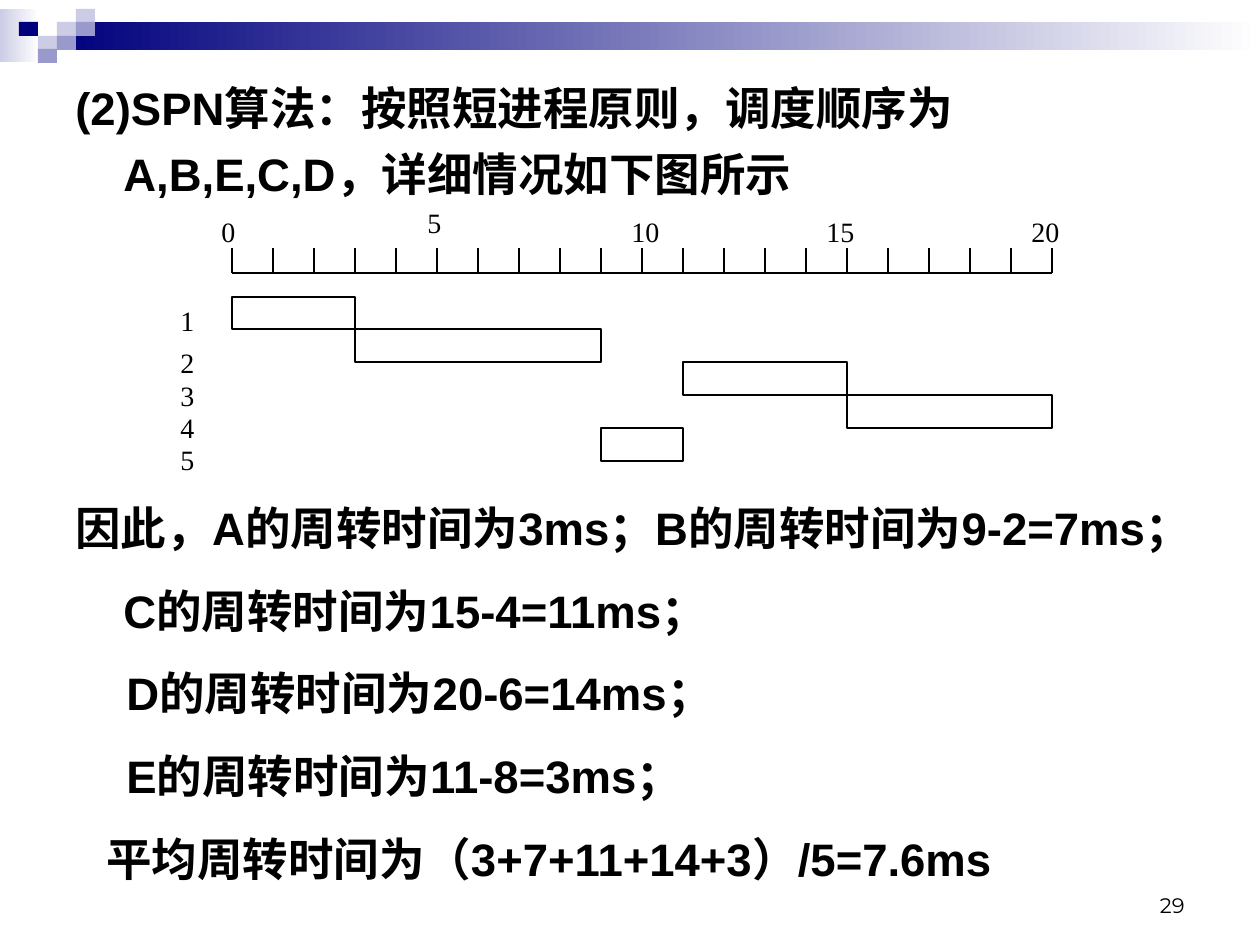
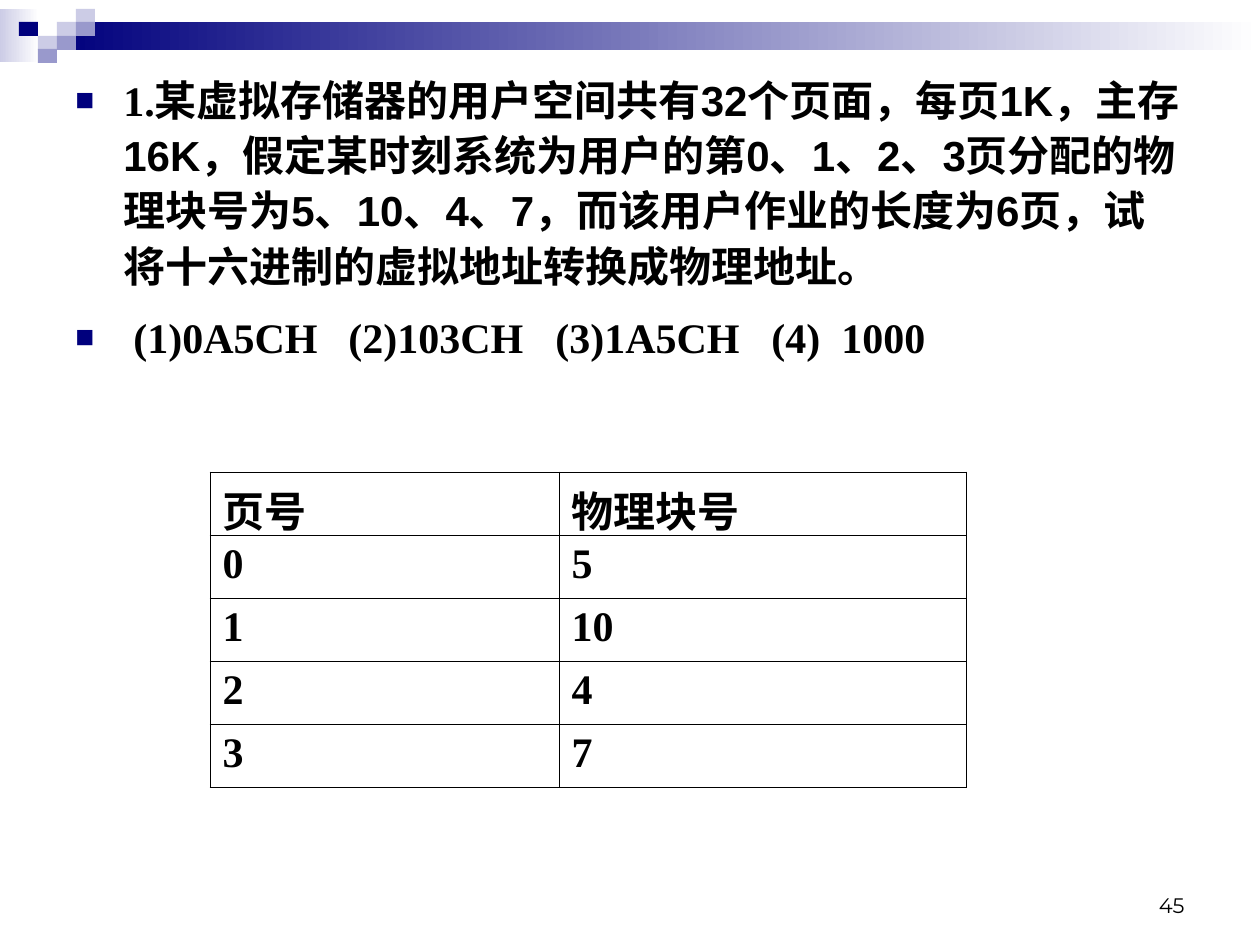
from dataclasses import dataclass
from lxml import etree
from pptx import Presentation
from pptx.dml.color import RGBColor as RGB
from pptx.enum.shapes import MSO_CONNECTOR as CONN, MSO_SHAPE as SHAPE
from pptx.enum.text import MSO_ANCHOR as ANCHOR, PP_ALIGN as ALIGN
from pptx.oxml import parse_xml
from pptx.oxml.ns import nsdecls, qn
from pptx.util import Pt


@dataclass
class Theme:
    navy: str = "00007D"
    mid: str = "9999CC"
    pale: str = "CCCCE6"
    white: str = "FFFFFF"
    ink: str = "000000"
    sans: str = "Arial"
    serif: str = "Times New Roman"
    number: str = "Montserrat"
    number_pt: int = 12
    label_pt: int = 16
    question_pt: int = 24
    answer_pt: int = 26


th = Theme()
SCALE = 914400 / 126


def px(*lengths):
    emu = [round(n * SCALE) for n in lengths]
    return emu if len(emu) > 1 else emu[0]


def add_text(slide, box, paragraphs, size, bold=False, wrap=True, line=None, gap=0):
    tf = slide.shapes.add_textbox(*px(*box)).text_frame
    tf.word_wrap = wrap
    for i, (left, first, runs) in enumerate(paragraphs):
        p = tf.paragraphs[0] if i == 0 else tf.add_paragraph()
        p.line_spacing = line
        p.space_before = Pt(gap if i else 0)
        p.space_after = Pt(gap)
        pPr = p._p.get_or_add_pPr()
        pPr.set("marL", str(px(left)))
        pPr.set("indent", str(px(first)))
        for text, font in runs:
            r = p.add_run()
            r.text = text
            r.font.name, r.font.size, r.font.bold = font, Pt(size), bold
            r.font.color.rgb = RGB.from_string(th.ink)
    return tf


prs = Presentation()
prs.slide_width, prs.slide_height = px(1260, 945)

bands = [((0, 9, 39, 53), th.pale), ((57, 22, 1203, 28), th.navy)]
tiles = [
    (3, 1, th.pale), (4, 0, th.pale), (4, 1, th.mid), (2, 2, th.pale),
    (1, 1, th.navy), (3, 2, th.mid), (2, 3, th.mid),
]
slides = []
for page in ("29", "45"):
    s = prs.slides.add_slide(prs.slide_layouts[6])
    slides.append(s)
    for box, color in bands:
        sp = s.shapes.add_shape(SHAPE.RECTANGLE, *px(*box))
        sp.shadow.inherit = False
        sp.line.fill.background()
        sp.fill.gradient()
        sp.fill.gradient_angle = 0
        for stop, position, shade in zip(sp.fill.gradient_stops, (0, 1), (color, th.white)):
            stop.position = position
            stop.color.rgb = RGB.from_string(shade)
    for col, row, color in tiles:
        sp = s.shapes.add_shape(SHAPE.RECTANGLE, *px(19 * col, 9 + 27 * row // 2, 19, 14))
        sp.shadow.inherit = False
        sp.line.fill.background()
        sp.fill.solid()
        sp.fill.fore_color.rgb = RGB.from_string(color)
    tf = add_text(s, (903, 861, 294, 63), [(0, 0, [(page, th.number)])], th.number_pt)
    tf.vertical_anchor = ANCHOR.BOTTOM
    tf.paragraphs[0].alignment = ALIGN.RIGHT

schedule, paging = slides

answer = dict(size=th.answer_pt, bold=True, line=1.2, gap=4.9)
add_text(schedule, (63, 63, 1134, 147), [
    (48, -48, [("(2)SPN算法：按照短进程原则，调度顺序为A,B,E,C,D，详细情况如下图所示", th.sans)]),
], **answer)
turnaround = [
    (48, -48, "因此，A的周转时间为3ms；B的周转时间为9-2=7ms；"),
    (48, 0, "C的周转时间为15-4=11ms；"),
    (51, 0, "D的周转时间为20-6=14ms；"),
    (51, 0, "E的周转时间为11-8=3ms；"),
    (31, 0, "平均周转时间为（3+7+11+14+3）/5=7.6ms"),
]
add_text(schedule, (63, 483, 1166, 410),
         [(left, first, [(text, th.sans)]) for left, first, text in turnaround], **answer)

X0, STEP, AXIS_Y, TICK_H = 232, 41, 273, 25
axis_lines = [(X0, AXIS_Y, X0 + 20 * STEP, AXIS_Y)]
axis_lines += [(X0 + STEP * t, AXIS_Y, X0 + STEP * t, AXIS_Y - TICK_H) for t in range(21)]
for ends in axis_lines:
    ln = schedule.shapes.add_connector(CONN.STRAIGHT, *px(*ends))
    ln.line.color.rgb = RGB.from_string(th.ink)
    ln.line.width = Pt(1)
    etree.SubElement(ln._element.spPr, qn("a:effectLst"))

labels = [("0", 209, 208), ("5", 415, 199), ("10", 619, 208), ("15", 814, 208), ("20", 1019, 208)]
labels += [(str(i), 168, y) for i, y in enumerate((297, 339, 372, 404, 436), 1)]
for text, x, y in labels:
    add_text(schedule, (x, y, 25 + 14 * len(text), 45), [(0, 0, [(text, th.serif)])],
             th.label_pt, wrap=False)

row_y = [297 + 164 * i // 5 for i in range(6)]
for i, (start, end) in enumerate([(0, 3), (3, 9), (11, 15), (15, 20), (9, 11)]):
    sp = schedule.shapes.add_shape(SHAPE.RECTANGLE, *px(
        X0 + STEP * start, row_y[i], STEP * (end - start), row_y[i + 1] - row_y[i]))
    sp.shadow.inherit = False
    sp.fill.background()
    sp.line.color.rgb = RGB.from_string(th.ink)
    sp.line.width = Pt(1)

question = (
    "某虚拟存储器的用户空间共有32个页面，每页1K，主存16K，假定某时刻系统为用户的第0、1、2、3页"
    "分配的物理块号为5、10、4、7，而该用户作业的长度为6页，试将十六进制的虚拟地址转换成物理地址。"
)
tf = add_text(paging, (63, 63, 1134, 388), [
    (48, -48, [("1.", th.serif), (question, th.sans)]),
    (0, 0, [("\t(1)0A5CH\t(2)103CH\t(3)1A5CH\t(4)\t1000", th.serif)]),
], th.question_pt, bold=True, line=1.1, gap=4.5)
for p, stops in zip(tf.paragraphs, ([], [58, 273, 480, 696, 766])):
    pPr = p._p.get_or_add_pPr()
    color = etree.SubElement(pPr, qn("a:buClr"))
    etree.SubElement(color, qn("a:srgbClr"), val=th.navy)
    etree.SubElement(pPr, qn("a:buSzPct"), val="75000")
    etree.SubElement(pPr, qn("a:buFont"), typeface=th.sans)
    etree.SubElement(pPr, qn("a:buChar"), char="■")
    if stops:
        tabs = etree.SubElement(pPr, qn("a:tabLst"))
        for stop in stops:
            etree.SubElement(tabs, qn("a:tab"), pos=str(px(stop)), algn="l")

rows = [("页号", "物理块号"), ("0", "5"), ("1", "10"), ("2", "4"), ("3", "7")]
table = paging.shapes.add_table(5, 2, *px(210, 472, 756, 315)).table
table.first_row = table.horz_banding = False
for col, width in zip(table.columns, (349, 407)):
    col.width = px(width)
for i, values in enumerate(rows):
    table.rows[i].height = px(63)
    for j, value in enumerate(values):
        cell = table.cell(i, j)
        cell.text = value
        font = cell.text_frame.paragraphs[0].runs[0].font
        font.name, font.size, font.bold = th.serif, Pt(th.question_pt), True
        font.color.rgb = RGB.from_string(th.ink)
        cell.fill.background()
        tcPr = cell._tc.get_or_add_tcPr()
        for k, side in enumerate(("lnL", "lnR", "lnT", "lnB")):
            tcPr.insert(k, parse_xml(
                f'<a:{side} {nsdecls("a")} w="{Pt(0.45)}"><a:solidFill>'
                f'<a:srgbClr val="{th.ink}"/></a:solidFill></a:{side}>'))

prs.save("out.pptx")
